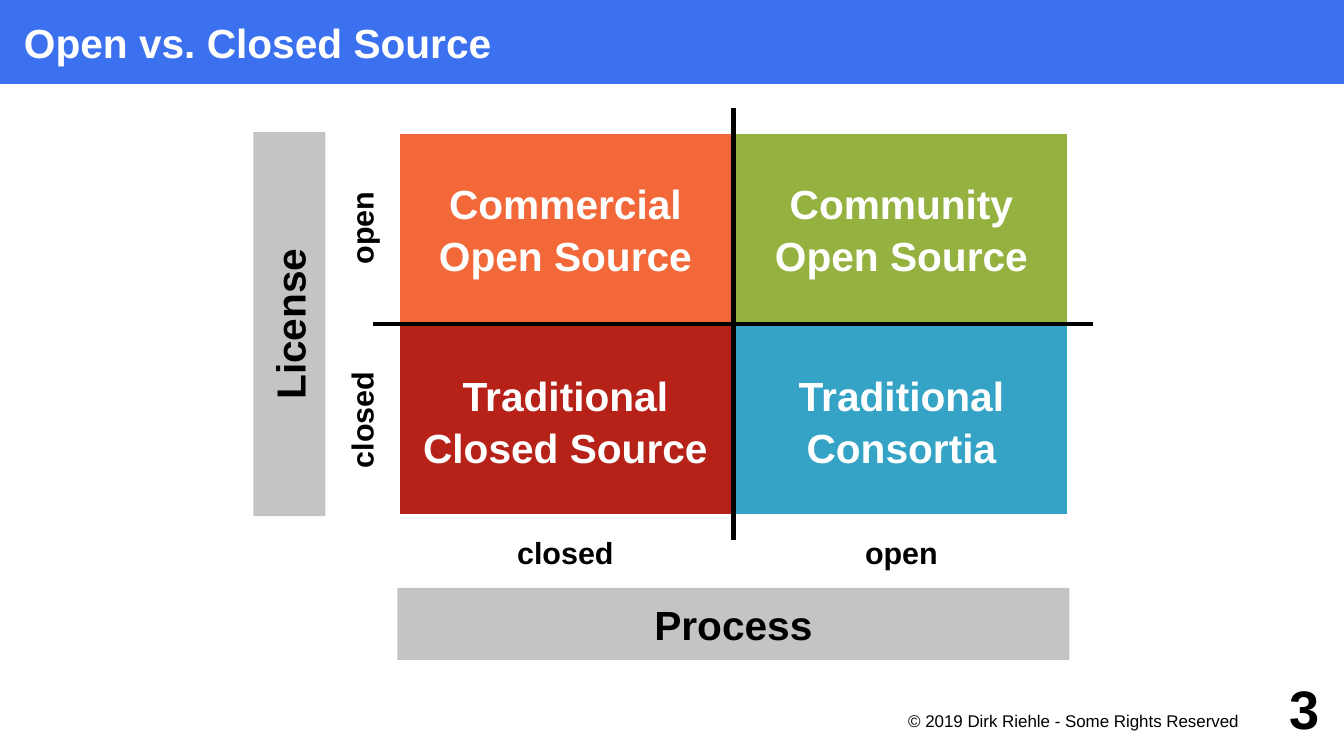
import pptx
import pptx.util
import pptx.dml.color
import pptx.enum.shapes
import pptx.enum.text
import pptx.oxml.ns
import lxml.etree

Cm = pptx.util.Cm
Pt = pptx.util.Pt
ALIGN = pptx.enum.text.PP_ALIGN
ANCHOR = pptx.enum.text.MSO_ANCHOR

COLORS = {
    "white": "FFFFFF",
    "black": "000000",
    "title": "3B70EE",
    "bar": "C4C4C4",
    "commercial": "F36838",
    "community": "95B241",
    "traditional": "B62118",
    "consortia": "34A3C5",
}
GRID_LEFT, GRID_TOP = 8.28, 2.75
CELL_WIDTH, CELL_HEIGHT = 7, 4
STRIP = 1.5
LINE_WIDTH = 2.83


def rgb(name):
    return pptx.dml.color.RGBColor.from_string(COLORS[name])


def write(shape, text, size, color="black", bold=True, align=ALIGN.CENTER,
          anchor=ANCHOR.MIDDLE, insets=(0, 0, 0, 0), wrap=True, spacing=None):
    frame = shape.text_frame
    frame.text = text
    frame.word_wrap = wrap
    frame.vertical_anchor = anchor
    (frame.margin_left, frame.margin_top,
     frame.margin_right, frame.margin_bottom) = map(Cm, insets)
    for para in frame.paragraphs:
        para.alignment = align
        para.line_spacing = spacing
        for span in para.runs:
            span.font.name = "Arial"
            span.font.size = Pt(size)
            span.font.bold = bold
            span.font.color.rgb = rgb(color)


def add_block(page, place, fill, outline=None):
    block = page.shapes.add_shape(
        pptx.enum.shapes.MSO_SHAPE.RECTANGLE, *map(Cm, place))
    block.shadow.inherit = False
    block.fill.solid()
    block.fill.fore_color.rgb = rgb(fill)
    if outline:
        block.line.color.rgb = rgb(outline)
        block.line.width = Pt(LINE_WIDTH)
    else:
        block.line.fill.background()
    return block


def add_label(page, place, text, size, **style):
    box = page.shapes.add_textbox(*map(Cm, place))
    write(box, text, size, **style)
    return box


def add_axis(page, start, end):
    axis = page.shapes.add_connector(
        pptx.enum.shapes.MSO_CONNECTOR.STRAIGHT, *map(Cm, start + end))
    axis.line.color.rgb = rgb("black")
    axis.line.width = Pt(LINE_WIDTH)
    lxml.etree.SubElement(axis._element.spPr, pptx.oxml.ns.qn("a:effectLst"))


def upright(left, top, length):
    return (left + (STRIP - length) / 2, top + (length - STRIP) / 2, length, STRIP)


def add_quadrants(page):
    quadrants = [
        (0, 1, "Traditional\nClosed Source", "traditional"),
        (1, 0, "Community\nOpen Source", "community"),
        (0, 0, "Commercial\nOpen Source", "commercial"),
        (1, 1, "Traditional\nConsortia", "consortia"),
    ]
    for column, row, text, fill in quadrants:
        place = (GRID_LEFT + column * CELL_WIDTH, GRID_TOP + row * CELL_HEIGHT,
                 CELL_WIDTH, CELL_HEIGHT)
        block = add_block(page, place, fill, "white")
        write(block, text, 24, "white", insets=(0.3, 0.18, 0.3, 0.18),
              wrap=False, spacing=1.05)


def add_scales(page):
    bottom = GRID_TOP + 2 * CELL_HEIGHT
    insets = (0.2, 0.2, 0.2, 0.2)
    for column, text in enumerate(["closed", "open"]):
        place = (GRID_LEFT + column * CELL_WIDTH, bottom, CELL_WIDTH, STRIP)
        add_label(page, place, text, 18, insets=insets)
    process = add_block(
        page, (GRID_LEFT, bottom + STRIP, 2 * CELL_WIDTH, STRIP), "bar")
    write(process, "Process", 24)

    for row, text in enumerate(["open", "closed"]):
        place = upright(GRID_LEFT - STRIP, GRID_TOP + row * CELL_HEIGHT, CELL_HEIGHT)
        add_label(page, place, text, 18, insets=insets).rotation = 270
    license_bar = add_block(
        page, upright(GRID_LEFT - 2 * STRIP, GRID_TOP, 2 * CELL_HEIGHT), "bar")
    license_bar.rotation = 270
    write(license_bar, "License", 24)


def add_axes(page):
    middle_x, middle_y = GRID_LEFT + CELL_WIDTH, GRID_TOP + CELL_HEIGHT
    reach_x, reach_y = CELL_WIDTH + 0.5, CELL_HEIGHT + 0.5
    add_axis(page, (middle_x - reach_x, middle_y), (middle_x + reach_x, middle_y))
    add_axis(page, (middle_x, middle_y + reach_y), (middle_x, middle_y - reach_y))


def main():
    deck = pptx.Presentation()
    deck.slide_width, deck.slide_height = Cm(28), Cm(15.75)
    page = deck.slides.add_slide(deck.slide_layouts[6])

    title = add_block(page, (0, 0, 28, 1.75), "title")
    write(title, "Open vs. Closed Source", 24, "white",
          align=ALIGN.LEFT, insets=(0.5, 0, 0, 0))
    add_quadrants(page)
    add_scales(page)
    add_axes(page)
    add_label(page, (18, 14.75, 8, 0.75), "© 2019 Dirk Riehle - Some Rights Reserved",
              10, bold=False, align=ALIGN.RIGHT, anchor=ANCHOR.TOP,
              insets=(0, 0.05, 0.2, 0))
    add_label(page, (25.5, 14, 2, 1.5), "3", 32, align=ALIGN.RIGHT)

    deck.save("out.pptx")


if __name__ == "__main__":
    main()
